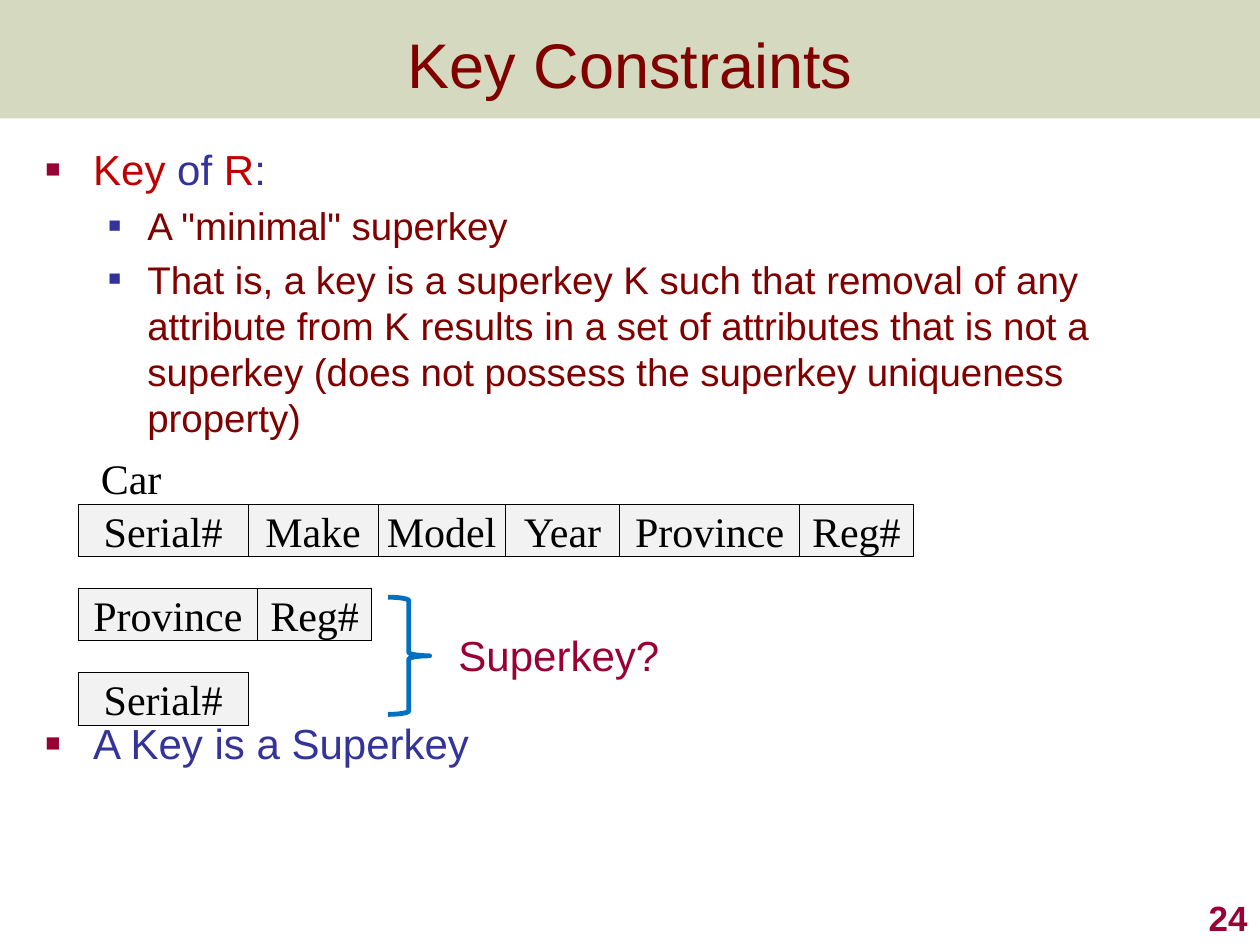
from lxml import etree
from pptx import Presentation
from pptx.dml.color import RGBColor
from pptx.enum.shapes import MSO_SHAPE
from pptx.enum.text import MSO_ANCHOR, MSO_AUTO_SIZE, PP_ALIGN
from pptx.oxml.ns import qn
from pptx.util import Inches, Pt

RECTANGLE, BRACE = MSO_SHAPE.RECTANGLE, MSO_SHAPE.RIGHT_BRACE
MIDDLE, BOTTOM = MSO_ANCHOR.MIDDLE, MSO_ANCHOR.BOTTOM
LEFT, CENTER, RIGHT = PP_ALIGN.LEFT, PP_ALIGN.CENTER, PP_ALIGN.RIGHT
NO_FIT, GROW = MSO_AUTO_SIZE.NONE, MSO_AUTO_SIZE.SHAPE_TO_FIT_TEXT

COLORS = {"olive": "76822E", "maroon": "800000", "red": "C00000",
          "blue": "333399", "crimson": "990033", "black": "000000",
          "gray": "F2F2F2", "brace": "0070C0"}


def write(para, text, size=24, color="black", font="Arial", bold=False):
    span = para.add_run()
    span.text = text
    span.font.size, span.font.name, span.font.bold = Pt(size), font, bold
    span.font.color.rgb = RGBColor.from_string(COLORS[color])


def add_xml(parent, tag, **attributes):
    return etree.SubElement(parent, qn(tag), attributes)


deck = Presentation()
deck.slide_width, deck.slide_height = Inches(10), Inches(7.5)
page = deck.slides.add_slide(deck.slide_layouts[1])
title, body = page.placeholders

# Title band, behind the title
band = page.shapes.add_shape(RECTANGLE, 0, 0, deck.slide_width, Inches(0.94))
band.shadow.inherit = False
band.line.fill.background()
band.fill.solid()
band.fill.fore_color.rgb = RGBColor.from_string(COLORS["olive"])
for tint in band.element.spPr.iter(qn("a:srgbClr")):
    add_xml(tint, "a:alpha", val="30000")
title.element.addprevious(band.element)

# Title
title.left, title.top, title.width, title.height = 0, 0, deck.slide_width, Inches(1)
title.text_frame.vertical_anchor = MIDDLE
title.text_frame.auto_size = NO_FIT
title.text_frame.paragraphs[0].alignment = CENTER
write(title.text_frame.paragraphs[0], "Key Constraints", size=36, color="maroon")

# Bulleted list: level, space before, coloured pieces
points = [
    (0, 0, [("Key", "red"), (" of ", "blue"), ("R", "red"), (":", "blue")]),
    (1, 4.4, [('A "minimal" superkey', "maroon")]),
    (1, 4.4, [("That is, a key is a superkey K such that removal of any "
               "attribute from K results in a set of attributes that is not a "
               "superkey (does not possess the superkey uniqueness property)",
               "maroon")]),
    (0, 158.4, [("A Key is a Superkey", "blue")]),
]
levels = [  # indent, hanging, bullet colour, bullet size, text size
    (0.38, 0.38, "crimson", "60000", 24),
    (0.81, 0.31, "blue", "55000", 22),
]
body.left, body.top = Inches(0.26), Inches(1.09)
body.width, body.height = Inches(9.49), Inches(3.33)
frame = body.text_frame
frame.auto_size = NO_FIT
frame.margin_right = Inches(0.15)
for number, (level, space, pieces) in enumerate(points):
    para = frame.add_paragraph() if number else frame.paragraphs[0]
    indent, hanging, bullet_color, bullet_size, size = levels[level]
    para.level = level
    props = para._p.get_or_add_pPr()
    props.set("marL", str(Inches(indent)))
    props.set("indent", str(-Inches(hanging)))
    add_xml(add_xml(props, "a:buClr"), "a:srgbClr", val=COLORS[bullet_color])
    add_xml(props, "a:buSzPct", val=bullet_size)
    add_xml(props, "a:buFont", typeface="Arial")
    add_xml(props, "a:buChar", char="■")
    para.space_before = Pt(space)
    for text, color in pieces:
        write(para, text, size=size, color=color)

# Relation and its keys, one table each at an equal step
widths = {"Serial#": 1.35, "Make": 1.03, "Model": 1.01, "Year": 0.91,
          "Province": 1.425, "Reg#": 0.905}
relations = [("Car", list(widths)), ("", ["Province", "Reg#"]), ("", ["Serial#"])]
ROW, STEP = 0.42, 2 / 3
for number, (caption, names) in enumerate(relations):
    lines = [[caption] + [""] * (len(names) - 1), names] if caption else [names]
    top = 4 + number * STEP - ROW * (len(lines) - 1)
    table = page.shapes.add_table(
        len(lines), len(names), Inches(0.62), Inches(top),
        Inches(sum(widths[name] for name in names)), Inches(ROW * len(lines))).table
    table.first_row = table.horz_banding = False
    for column, name in zip(table.columns, names):
        column.width = Inches(widths[name])
    if caption:
        table.cell(0, 0).merge(table.cell(0, len(names) - 1))
    for row, texts in enumerate(lines):
        is_caption = texts is not names
        for column, text in enumerate(texts):
            cell = table.cell(row, column)
            cell.vertical_anchor = BOTTOM
            cell.margin_left = Inches(0.18 if is_caption else 0.01)
            cell.margin_right = cell.margin_top = Inches(0.01)
            cell.margin_bottom = 0
            for side in ("a:lnL", "a:lnR", "a:lnT", "a:lnB"):
                border = add_xml(cell._tc.get_or_add_tcPr(), side, w=str(Pt(0.5)))
                if is_caption and side != "a:lnB":
                    add_xml(border, "a:noFill")
                else:
                    add_xml(add_xml(border, "a:solidFill"), "a:srgbClr",
                            val=COLORS["black"])
            if is_caption:
                cell.fill.background()
            else:
                cell.fill.solid()
                cell.fill.fore_color.rgb = RGBColor.from_string(COLORS["gray"])
            if text:
                para = cell.text_frame.paragraphs[0]
                para.alignment = LEFT if is_caption else CENTER
                write(para, text, font="Times New Roman")

# Question beside the two keys
question = page.shapes.add_textbox(Inches(3.54), Inches(4.95), Inches(1.81), Inches(0.5))
question.text_frame.word_wrap = False
question.text_frame.auto_size = GROW
write(question.text_frame.paragraphs[0], "Superkey?", color="crimson")

brace = page.shapes.add_shape(BRACE, Inches(3.08), Inches(4.74), Inches(0.33), Inches(0.93))
brace.shadow.inherit = False
brace.fill.background()
brace.line.color.rgb = RGBColor.from_string(COLORS["brace"])
brace.line.width = Pt(2.75)

# Page number
corner = page.shapes.add_textbox(Inches(7.92), Inches(7), Inches(2.08), Inches(0.5))
corner.text_frame.word_wrap = True
corner.text_frame.vertical_anchor = BOTTOM
corner.text_frame.paragraphs[0].alignment = RIGHT
write(corner.text_frame.paragraphs[0], "24", size=20, color="crimson", bold=True)

deck.save("out.pptx")
